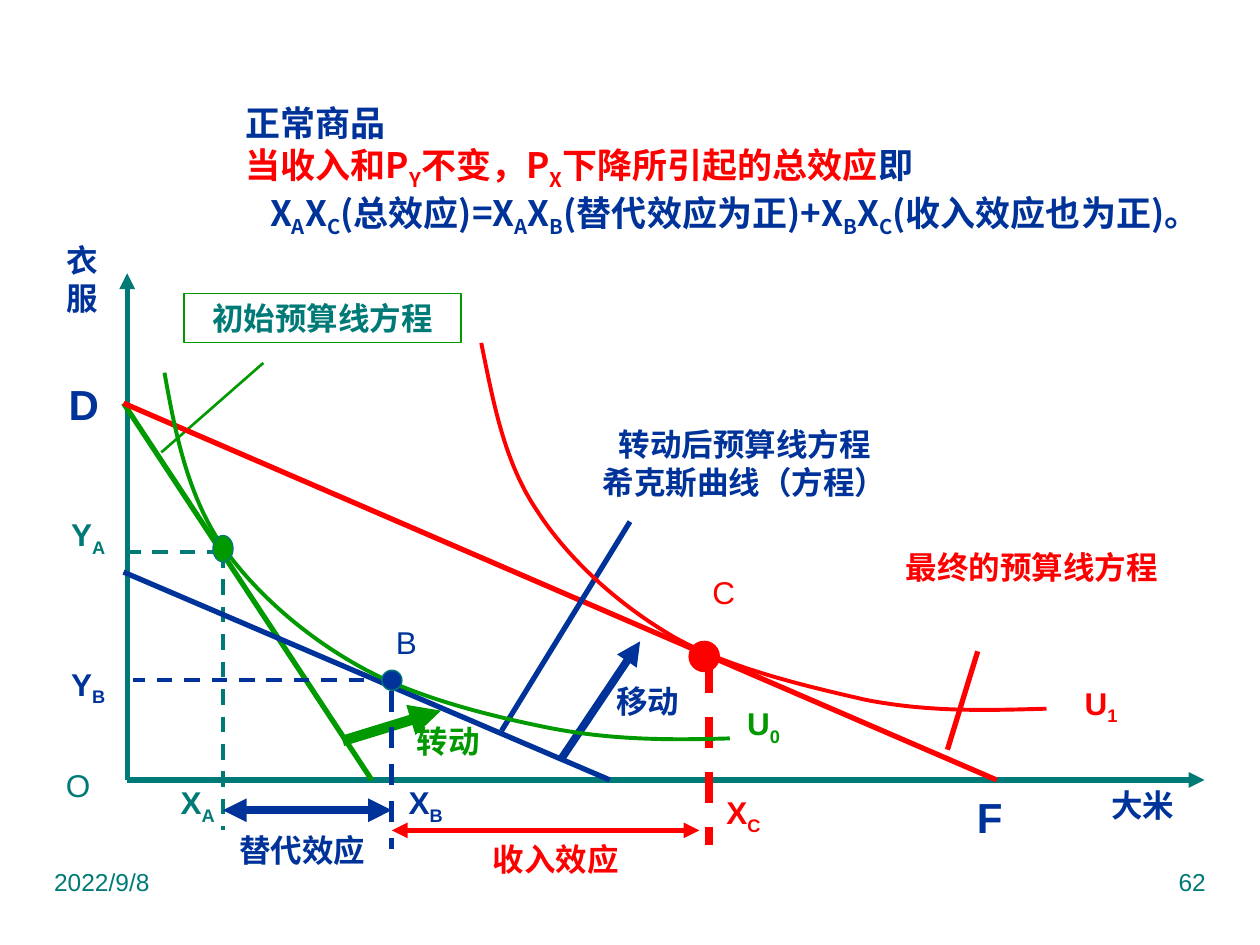
"""Build the slide on substitution and income effects of a price fall for a normal good."""
from lxml import etree
from pptx import Presentation
from pptx import util as u
from pptx.dml.color import RGBColor
from pptx.enum import dml, shapes, text
from pptx.oxml.ns import qn

COLOURS = {"teal": "007A77", "green": "009900", "blue": "003399", "red": "FF0000"}
LATIN, CJK = "Arial", "Noto Sans CJK SC"
ORIGIN = (72.7, 445.7)
TOP_D = (70.6, 230.4)
X_A, X_B, X_C = 127.4, 223.9, 405.4
Y_A, Y_B = 315.4, 388.8

LINES = [
    (ORIGIN, (688.3, 445.7), "teal", 3, "tail"),
    (ORIGIN, (72.7, 156.2), "teal", 3, "tail"),
    (TOP_D, (212.4, 445.7), "green", 3, ""),
    ((X_A, Y_A), (70.6, Y_A), "teal", 2.25, "dash"),
    ((X_A, Y_A), (X_A, 474.5), "teal", 2.25, "dash"),
    ((195.8, 423.4), (252, 406.1), "green", 6, "tail"),
    ((92.2, 258.5), (150.5, 207.4), "green", 1.5, ""),
    ((70.6, 326.9), (348.5, 445.7), "blue", 3, ""),
    ((X_B, 394.6), (X_B, 485.3), "blue", 3, "dash"),
    ((X_A, 463), (X_B, 463), "blue", 4.5, "head tail"),
    (TOP_D, (569.5, 445.7), "red", 3, ""),
    ((X_C, 378), (X_C, 483.1), "red", 4.5, "dash"),
    ((X_B, 474.5), (399.6, 474.5), "red", 3, "head tail"),
    ((320.4, 434.2), (365.8, 366.5), "blue", 4.5, "tail"),
    ((286.6, 417.6), (360, 298.1), "blue", 3, ""),
    ((541.4, 428.4), (558.7, 372.2), "red", 3, ""),
    ((X_B, Y_B), (76.3, Y_B), "blue", 2.25, "dash"),
]

INDIFFERENCE = [
    (93.6, 213.1), (100.1, 247), (106.6, 280.8), (125.3, 308.9),
    (143.3, 336.2), (172.1, 362.2), (203.8, 380.2),
    (235.4, 398.2), (278.6, 409), (313.9, 416.2),
    (349.9, 423.4), (383, 422.6), (416.9, 421.9),
]
CURVES = [("green", 0, 0), ("red", 181.4, -16.6)]

DOTS = [
    ((121.7, 306, 11.5, 15.1), "green", "teal"),
    ((218.2, 383, 11.5, 11.5), "blue", "teal"),
    ((393.8, 366.5, 17.3, 17.3), "red", "red"),
]

LABELS = [
    ("转动", (223.9, 411.8, 64.8, 23), "green", 18, True),
    ("大米", (598.3, 451.4, 109.4, 17.3), "blue", 18, True),
    ("衣服", (27.4, 145.4, 38.9, 28.1), "blue", 18, True),
    ("X_A", (93.6, 445.7, 38.9, 28.1), "teal", 18, True),
    ("Y_A", (31, 292.3, 38.9, 28.1), "teal", 18, True),
    ("替代效应", (121.7, 474.5, 102.2, 22.3), "blue", 18, True),
    ("收入效应", (263.5, 479.5, 108, 22.3), "red", 18, True),
    ("转动后预算线方程\n希克斯曲线（方程）", (331.9, 236.2, 187.2, 56.9), "blue", 18, True),
    ("最终的预算线方程", (496.1, 309.6, 187.2, 28.1), "red", 18, True),
    ("B", (206.6, 355, 51.1, 23), "blue", 18, False),
    ("C", (388.1, 321.1, 51.1, 33.8), "red", 18, False),
    ("X_B", (223.9, 445.7, 38.9, 28.1), "blue", 18, True),
    ("X_C", (405.4, 451.4, 38.9, 28.1), "red", 18, True),
    ("移动", (337.7, 388.8, 64.8, 23), "blue", 18, True),
    ("O", (25.2, 434.2, 38.9, 28.1), "teal", 18, False),
    ("U_0", (416.9, 400.3, 38.9, 28.1), "green", 18, True),
    ("U_1", (609.8, 388.8, 38.9, 28.1), "red", 18, True),
    ("Y_B", (31, 378, 38.9, 28.1), "blue", 18, True),
    ("D", (28.1, 213.8, 39.6, 33.8), "blue", 24, True),
    ("F", (545.8, 450, 39.6, 33.8), "blue", 24, True),
]

TITLE = [
    [("正常商品", "blue")],
    [("当收入和P_Y不变，P_X下降所引起的总效应", "red"), ("即", "blue")],
    [("X_AX_C(总效应)=X_AX_B(替代效应为正)+X_BX_C(收入效应也为正)。", "blue")],
]


def rgb(name):
    """Return the named colour."""
    return RGBColor.from_string(COLOURS[name])


def points(values):
    """Turn plain numbers into point lengths."""
    return [u.Pt(value) for value in values]


def add_span(para, wording, colour, size, bold, font, lowered=False):
    """Add one run, lowered when it is a subscript."""
    span = para.add_run()
    span.text = wording
    span.font.name, span.font.size, span.font.bold = font, u.Pt(size), bold
    span.font.color.rgb = rgb(colour)
    props = span._r.get_or_add_rPr()
    etree.SubElement(props, qn("a:ea")).set("typeface", CJK)
    if lowered:
        props.set("baseline", "-25000")


def add_spans(para, wording, colour, size, bold, font=LATIN):
    """Add wording in which an underscore lowers the next letter."""
    first, *rest = wording.split("_")
    pieces = [(first, False)]
    for part in rest:
        pieces += [(part[0], True), (part[1:], False)]
    for piece, lowered in pieces:
        if piece:
            add_span(para, piece, colour, size, bold, font, lowered)


def fill_label(box, wording, colour, size, bold):
    """Write centred, unwrapped lines into a shape."""
    frame = box.text_frame
    frame.word_wrap = False
    frame.vertical_anchor = text.MSO_ANCHOR.MIDDLE
    for index, line in enumerate(wording.split("\n")):
        para = frame.add_paragraph() if index else frame.paragraphs[0]
        para.alignment = text.PP_ALIGN.CENTER
        add_spans(para, line, colour, size, bold)


def add_title(page):
    """Add the heading with its indented formula."""
    frame = page.shapes.add_textbox(*points((133.2, 49, 563, 96.5))).text_frame
    frame.word_wrap = True
    frame.vertical_anchor = text.MSO_ANCHOR.MIDDLE
    for index, line in enumerate(TITLE):
        para = frame.add_paragraph() if index else frame.paragraphs[0]
        for wording, colour in line:
            add_spans(para, wording, colour, 20, True, CJK)
    para._p.get_or_add_pPr().set("indent", str(u.Pt(14)))


def add_footer(page, wording, left, alignment):
    """Add a footer text such as the date or page number."""
    frame = page.shapes.add_textbox(*points((left, 491.8, 180, 37.4))).text_frame
    frame.word_wrap = True
    para = frame.paragraphs[0]
    para.alignment = alignment
    add_spans(para, wording, "teal", 14, False)


def add_line(page, start, end, colour, width, style):
    """Add a straight line, dashed or with arrowheads as styled."""
    line = page.shapes.add_connector(shapes.MSO_CONNECTOR.STRAIGHT, *points(start + end))
    line.line.color.rgb, line.line.width = rgb(colour), u.Pt(width)
    if "dash" in style:
        line.line.dash_style = dml.MSO_LINE.DASH
    for side in ("head", "tail"):
        if side in style:
            etree.SubElement(line.line._get_or_add_ln(), qn(f"a:{side}End")).set("type", "triangle")
    etree.SubElement(line._element.spPr, qn("a:effectLst"))


def add_curve(page, colour, right, down):
    """Add a shifted indifference curve made of cubic segments."""
    knots = [(x + right, y + down) for x, y in INDIFFERENCE]
    builder = page.shapes.build_freeform(*knots[0], scale=u.Pt(1))
    builder.add_line_segments(knots[1:], close=False)
    curve = builder.convert_to_shape()
    steps = list(curve._element.iter(qn("a:lnTo")))
    for first in range(0, len(steps), 3):
        cubic = etree.Element(qn("a:cubicBezTo"))
        steps[first].addprevious(cubic)
        for step in steps[first:first + 3]:
            cubic.append(step[0])
            step.getparent().remove(step)
    curve.shadow.inherit = False
    curve.fill.background()
    curve.line.color.rgb, curve.line.width = rgb(colour), u.Pt(2.25)


def add_preset(page, kind, place, fill, outline):
    """Add a thinly outlined preset shape, filled if a fill is named."""
    box = page.shapes.add_shape(kind, *points(place))
    box.shadow.inherit = False
    if fill:
        box.fill.solid()
        box.fill.fore_color.rgb = rgb(fill)
    else:
        box.fill.background()
    box.line.color.rgb, box.line.width = rgb(outline), u.Pt(0.75)
    return box


def main():
    """Build and save the deck."""
    deck = Presentation()
    deck.slide_width, deck.slide_height = points((720, 540))
    page = deck.slides.add_slide(deck.slide_layouts[6])
    add_footer(page, "2022/9/8", 23.8, text.PP_ALIGN.LEFT)
    add_footer(page, "62", 516.2, text.PP_ALIGN.RIGHT)
    add_title(page)
    for line in LINES:
        add_line(page, *line)
    for curve in CURVES:
        add_curve(page, *curve)
    for dot in DOTS:
        add_preset(page, shapes.MSO_SHAPE.OVAL, *dot)
    frame = add_preset(page, shapes.MSO_SHAPE.RECTANGLE, (105.1, 167.8, 158.4, 28.1), None, "green")
    fill_label(frame, "初始预算线方程", "teal", 18, True)
    for wording, place, *look in LABELS:
        fill_label(page.shapes.add_textbox(*points(place)), wording, *look)
    deck.save("out.pptx")


if __name__ == "__main__":
    main()
